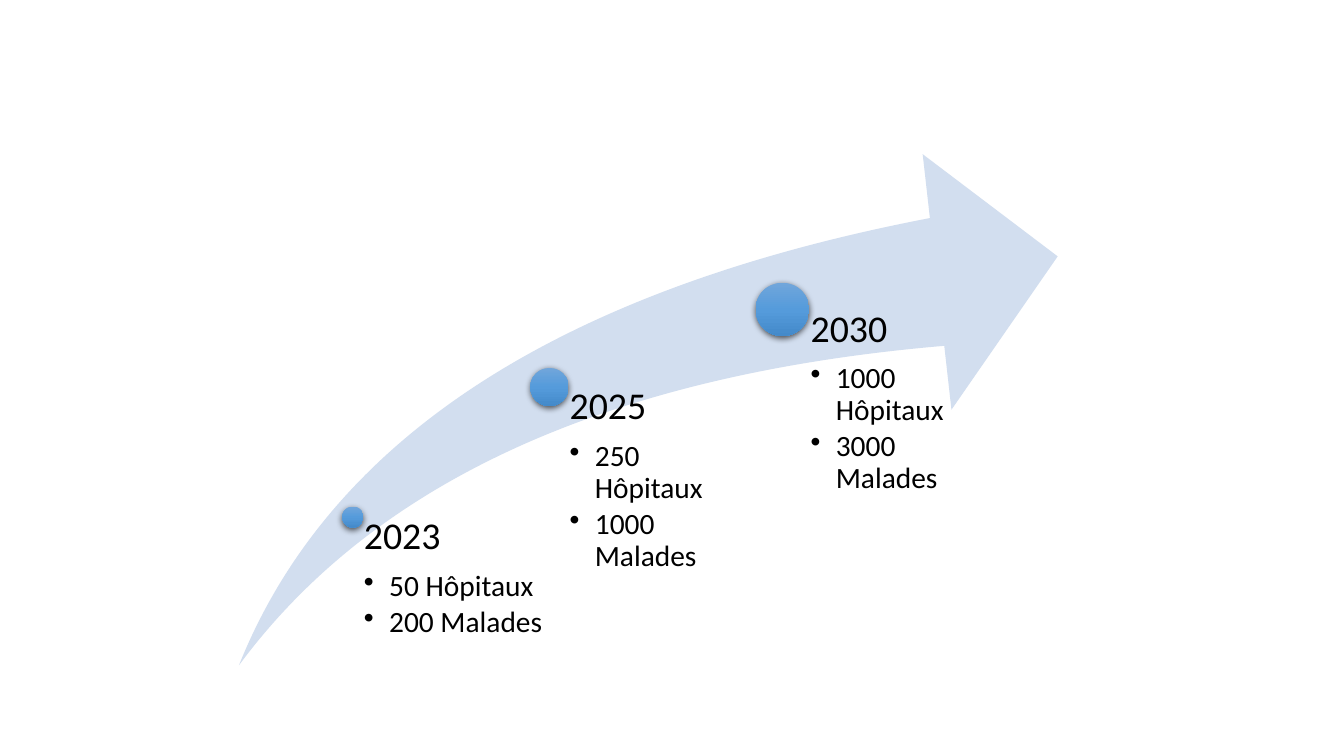
from dataclasses import dataclass

from lxml import etree
from pptx import Presentation
from pptx.dml.color import RGBColor
from pptx.enum.shapes import MSO_SHAPE
from pptx.enum.text import MSO_ANCHOR, PP_ALIGN
from pptx.oxml.ns import qn
from pptx.shapes.autoshape import Shape
from pptx.shapes.shapetree import GroupShapes
from pptx.text.text import _Paragraph
from pptx.util import Inches, Pt

SWOOSH = MSO_SHAPE.SWOOSH_ARROW
OVAL = MSO_SHAPE.OVAL
LEFT = PP_ALIGN.LEFT
TOP = MSO_ANCHOR.TOP

COLORS = {
    "arrow": "D2DEEF",
    "light": "71A6DB",
    "mid": "559BDB",
    "dark": "448ACA",
    "text": "000000",
}
STOPS = {0: "light", 50: "mid", 100: "dark"}
FRAME = {
    "word_wrap": True,
    "vertical_anchor": TOP,
    "margin_top": 0,
    "margin_right": 0,
    "margin_bottom": 0,
}
HEAD = {"size": Pt(27), "name": "Calibri"}
ITEM = {"size": Pt(21), "name": "Calibri"}
BASE = 6.6
INDENT = Inches(0.25)


@dataclass
class Stage:
    x: float
    y: float
    dot: float
    width: float
    inset: float
    year: str
    items: list[str]


STAGES = [
    Stage(3.5, 5.13, 0.21, 1.89, 0.11, "2023", ["50 Hôpitaux", "200 Malades"]),
    Stage(5.45, 3.84, 0.38, 1.95, 0.2, "2025", ["250 Hôpitaux", "1000 Malades"]),
    Stage(7.76, 3.07, 0.53, 1.95, 0.28, "2030", ["1000 Hôpitaux", "3000 Malades"]),
]


def assign(target: object, values: dict) -> None:
    for name, value in values.items():
        setattr(target, name, value)


def add_color(parent: etree._Element, key: str) -> etree._Element:
    return etree.SubElement(parent, qn("a:srgbClr"), val=COLORS[key])


def draw_arrow(shapes: GroupShapes) -> None:
    arrow = shapes.add_shape(
        SWOOSH, Inches(2.37), Inches(1.53), Inches(8.12), Inches(5.07)
    )
    arrow.adjustments[0] = 0.25
    arrow.adjustments[1] = 0.25
    arrow.fill.solid()
    arrow.fill.fore_color.rgb = RGBColor.from_string(COLORS["arrow"])
    arrow.line.fill.background()
    arrow.shadow.inherit = False


def shade(dot: Shape) -> None:
    dot.fill.gradient()
    dot.fill.gradient_angle = 270
    stops = dot.element.spPr.find(".//" + qn("a:gsLst"))
    for old in list(stops):
        stops.remove(old)
    for place, key in STOPS.items():
        add_color(etree.SubElement(stops, qn("a:gs"), pos=str(place * 1000)), key)


def cast(dot: Shape) -> None:
    dot.shadow.inherit = False
    effects = dot.element.spPr.find(qn("a:effectLst"))
    outer = etree.SubElement(
        effects,
        qn("a:outerShdw"),
        blurRad=str(Pt(4.5)),
        dist=str(Pt(1.5)),
        dir="5400000",
        algn="ctr",
        rotWithShape="0",
    )
    etree.SubElement(add_color(outer, "text"), qn("a:alpha"), val="63000")


def draw_dot(shapes: GroupShapes, stage: Stage) -> None:
    size = Inches(stage.dot)
    half = stage.dot / 2
    dot = shapes.add_shape(
        OVAL, Inches(stage.x - half), Inches(stage.y - half), size, size
    )
    shade(dot)
    dot.line.fill.background()
    cast(dot)


def write(para: _Paragraph, text: str, font: dict, after: float) -> None:
    assign(
        para,
        {"alignment": LEFT, "line_spacing": 0.9, "space_after": Pt(after)},
    )
    run = para.add_run()
    run.text = text
    assign(run.font, font)
    run.font.color.rgb = RGBColor.from_string(COLORS["text"])


def add_bullet(para: _Paragraph) -> None:
    props = para._p.get_or_add_pPr()
    props.set("lvl", "1")
    props.set("marL", str(INDENT))
    props.set("indent", str(-INDENT))
    etree.SubElement(props, qn("a:buChar"), char="•")


def draw_text(shapes: GroupShapes, stage: Stage) -> None:
    box = shapes.add_textbox(
        Inches(stage.x),
        Inches(stage.y),
        Inches(stage.width),
        Inches(BASE - stage.y),
    )
    frame = box.text_frame
    assign(frame, FRAME | {"margin_left": Inches(stage.inset)})
    write(frame.paragraphs[0], stage.year, HEAD, 9.45)
    for item in stage.items:
        para = frame.add_paragraph()
        write(para, item, ITEM, 3.15)
        add_bullet(para)


def main() -> None:
    deck = Presentation()
    deck.slide_width = Inches(13.33)
    deck.slide_height = Inches(7.5)
    slide = deck.slides.add_slide(deck.slide_layouts[6])
    shapes = slide.shapes.add_group_shape().shapes
    draw_arrow(shapes)
    for stage in STAGES:
        draw_dot(shapes, stage)
        draw_text(shapes, stage)
    deck.save("out.pptx")


if __name__ == "__main__":
    main()
